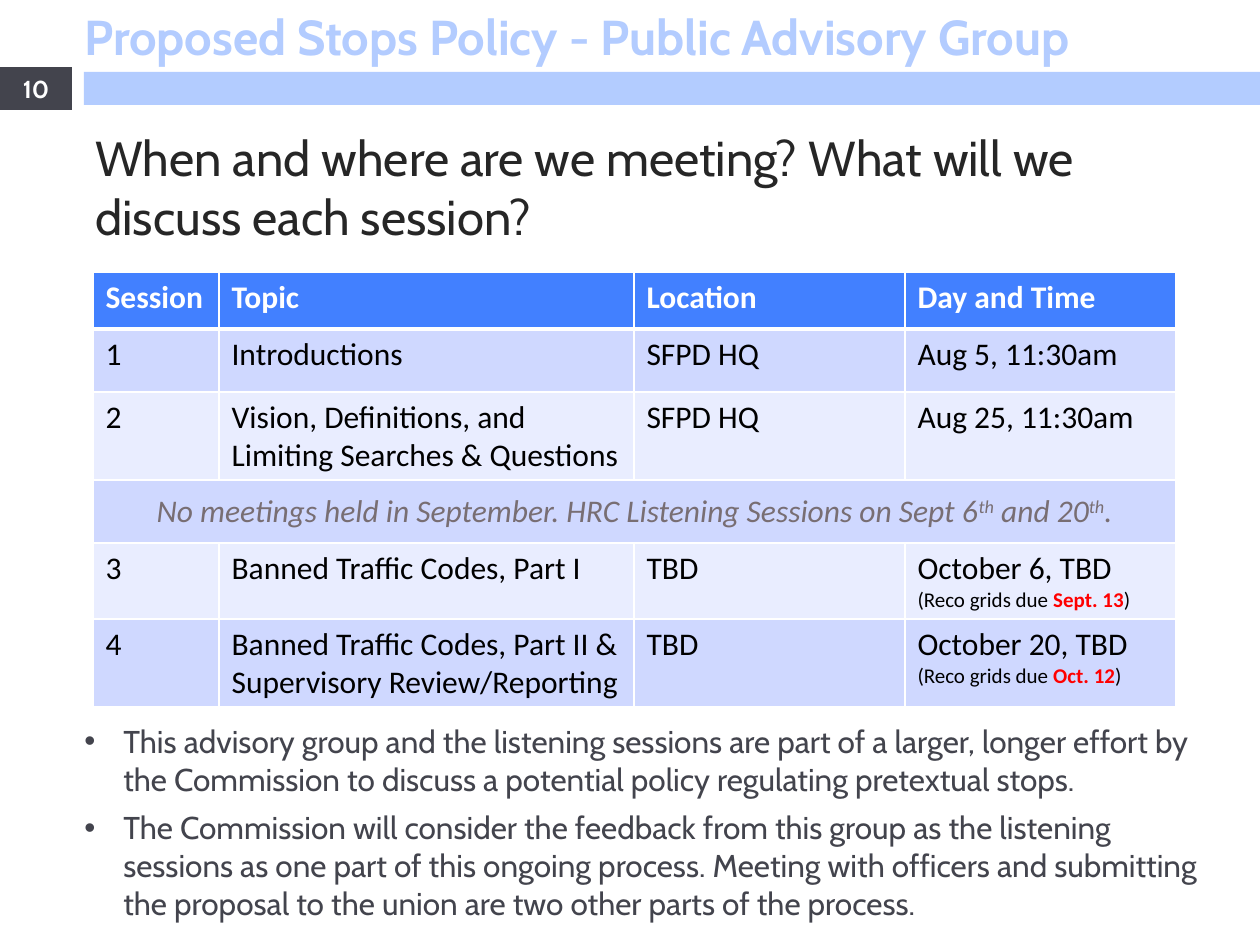
from dataclasses import dataclass

from lxml.etree import SubElement
from pptx import Presentation
from pptx.dml.color import RGBColor
from pptx.enum.shapes import MSO_SHAPE
from pptx.enum.text import MSO_ANCHOR, MSO_AUTO_SIZE, PP_ALIGN
from pptx.oxml import parse_xml
from pptx.oxml.ns import nsdecls, qn
from pptx.util import Emu, Pt

EMU_PER_PX = 914400 / 126
COLORS = {
    "pale_blue": "B3CCFF", "dark": "43444D", "heading": "262626",
    "header": "4280FF", "odd_row": "CFD8FF", "even_row": "E9EDFF",
    "white": "FFFFFF", "black": "000000", "muted": "786E73", "red": "FF0000",
}


def px(length: int) -> Emu:
    return Emu(round(length * EMU_PER_PX))


def color(name: str) -> RGBColor:
    return RGBColor.from_string(COLORS[name])


@dataclass(frozen=True)
class Box:
    left: int
    top: int
    width: int
    height: int

    def emu(self) -> tuple[Emu, ...]:
        return tuple(px(n) for n in (self.left, self.top, self.width, self.height))


@dataclass(frozen=True)
class Style:
    font: str
    size: int
    color: str
    bold: bool = False
    italic: bool = False


@dataclass(frozen=True)
class Piece:
    text: str
    style: Style
    raised: bool = False


@dataclass(frozen=True)
class Session:
    number: str
    topic: str
    location: str
    time: str
    due: str = ""


TITLE = Style("Cabin", 28, "pale_blue", bold=True)
HEADING = Style("Cabin", 28, "heading")
PAGE_NUMBER = Style("Cabin", 14, "white", bold=True)
BULLET = Style("Cabin", 18, "dark")
TABLE_HEADER = Style("Calibri", 18, "white", bold=True)
BODY = Style("Calibri", 18, "black")
NOTICE = Style("Calibri", 18, "muted", italic=True)
SMALL = Style("Calibri", 12, "black")
DUE_DATE = Style("Calibri", 12, "red", bold=True)

COLUMN_WIDTHS = (126, 415, 271, 271)
HEADER_HEIGHT, ROW_HEIGHT = 57, 63
NOTICE_ROW = 3
HEADERS = ("Session", "Topic", "Location", "Day and Time")
SESSIONS = {
    1: Session("1", "Introductions", "SFPD HQ", "Aug 5, 11:30am"),
    2: Session("2", "Vision, Definitions, and Limiting Searches & Questions",
               "SFPD HQ", "Aug 25, 11:30am"),
    4: Session("3", "Banned Traffic Codes, Part I", "TBD", "October 6, TBD", "Sept. 13"),
    5: Session("4", "Banned Traffic Codes, Part II & Supervisory Review/Reporting",
               "TBD", "October 20, TBD", "Oct. 12"),
}
NOTICE_PIECES = (
    Piece("No meetings held in September. HRC Listening Sessions on Sept 6", NOTICE),
    Piece("th", NOTICE, raised=True),
    Piece(" and 20", NOTICE),
    Piece("th", NOTICE, raised=True),
    Piece(".", NOTICE),
)
BULLETS = (
    "This advisory group and the listening sessions are part of a larger, longer effort by "
    "the Commission to discuss a potential policy regulating pretextual stops.",
    "The Commission will consider the feedback from this group as the listening sessions as "
    "one part of this ongoing process. Meeting with officers and submitting the proposal to "
    "the union are two other parts of the process.",
)


def format_run(run, style: Style) -> None:
    run.font.name = style.font
    run.font.size = Pt(style.size)
    run.font.color.rgb = color(style.color)
    run.font.bold = style.bold
    run.font.italic = style.italic


def write_text(text_frame, text: str, style: Style) -> None:
    text_frame.text = text
    for paragraph in text_frame.paragraphs:
        for run in paragraph.runs:
            format_run(run, style)


def write_pieces(paragraph, pieces: tuple[Piece, ...]) -> None:
    for piece in pieces:
        run = paragraph.add_run()
        run.text = piece.text
        format_run(run, piece.style)
        if piece.raised:
            run._r.get_or_add_rPr().set("baseline", "30000")


def add_bar(slide, box: Box, fill: str):
    shape = slide.shapes.add_shape(MSO_SHAPE.RECTANGLE, *box.emu())
    shape.shadow.inherit = False
    shape.fill.solid()
    shape.fill.fore_color.rgb = color(fill)
    shape.line.fill.background()
    return shape


def add_text(slide, box: Box, text: str, style: Style):
    text_frame = slide.shapes.add_textbox(*box.emu()).text_frame
    text_frame.word_wrap = True
    text_frame.auto_size = MSO_AUTO_SIZE.SHAPE_TO_FIT_TEXT
    write_text(text_frame, text, style)
    return text_frame


def style_cell(cell, row: int) -> None:
    fill = "header" if row == 0 else "odd_row" if row % 2 else "even_row"
    cell.fill.solid()
    cell.fill.fore_color.rgb = color(fill)
    widths = {"L": 1, "R": 1, "T": 3 if row == 1 else 1, "B": 3 if row == 0 else 1}
    properties = cell._tc.get_or_add_tcPr()
    for index, (side, width) in enumerate(widths.items()):
        properties.insert(index, parse_xml(
            f'<a:ln{side} {nsdecls("a")} w="{Pt(width)}"><a:solidFill>'
            f'<a:srgbClr val="{COLORS["white"]}"/></a:solidFill></a:ln{side}>'))


def add_schedule(slide, box: Box) -> None:
    table = slide.shapes.add_table(6, len(HEADERS), *box.emu()).table
    for column, width in zip(table.columns, COLUMN_WIDTHS):
        column.width = px(width)
    for index, row in enumerate(table.rows):
        row.height = px(ROW_HEIGHT if index else HEADER_HEIGHT)
        for cell in row.cells:
            style_cell(cell, index)

    for index, header in enumerate(HEADERS):
        write_text(table.cell(0, index).text_frame, header, TABLE_HEADER)
    for row, session in SESSIONS.items():
        values = (session.number, session.topic, session.location, session.time)
        for index, value in enumerate(values):
            write_text(table.cell(row, index).text_frame, value, BODY)
        if session.due:
            write_pieces(table.cell(row, 3).text_frame.add_paragraph(), (
                Piece("(Reco grids due ", SMALL), Piece(session.due, DUE_DATE),
                Piece(")", SMALL)))

    # Notice across the whole row
    notice = table.cell(NOTICE_ROW, 0)
    notice.merge(table.cell(NOTICE_ROW, len(HEADERS) - 1))
    notice.vertical_anchor = MSO_ANCHOR.MIDDLE
    paragraph = notice.text_frame.paragraphs[0]
    paragraph.alignment = PP_ALIGN.CENTER
    write_pieces(paragraph, NOTICE_PIECES)


def add_bullets(slide, box: Box) -> None:
    text_frame = add_text(slide, box, "\n".join(BULLETS), BULLET)
    for paragraph in text_frame.paragraphs:
        paragraph.space_after = Pt(6)
        properties = paragraph._p.get_or_add_pPr()
        properties.set("marL", str(px(39)))
        properties.set("indent", str(-px(39)))
        SubElement(properties, qn("a:buFont")).set("typeface", "Arial")
        SubElement(properties, qn("a:buChar")).set("char", "•")


def main() -> None:
    presentation = Presentation()
    presentation.slide_width, presentation.slide_height = px(1260), px(945)
    slide = presentation.slides.add_slide(presentation.slide_layouts[6])

    # Header band and page number
    add_bar(slide, Box(84, 72, 1176, 33), "pale_blue")
    number = add_bar(slide, Box(0, 67, 72, 43), "dark").text_frame
    write_text(number, "10", PAGE_NUMBER)
    number.paragraphs[0].alignment = PP_ALIGN.CENTER

    # Title and question
    add_text(slide, Box(72, 0, 1125, 72), "Proposed Stops Policy - Public Advisory Group", TITLE)
    add_text(slide, Box(83, 121, 1114, 131),
             "When and where are we meeting? What will we discuss each session?", HEADING)

    # Schedule and remarks
    add_schedule(slide, Box(93, 272, 1083, 435))
    add_bullets(slide, Box(72, 716, 1157, 214))
    presentation.save("out.pptx")


if __name__ == "__main__":
    main()
